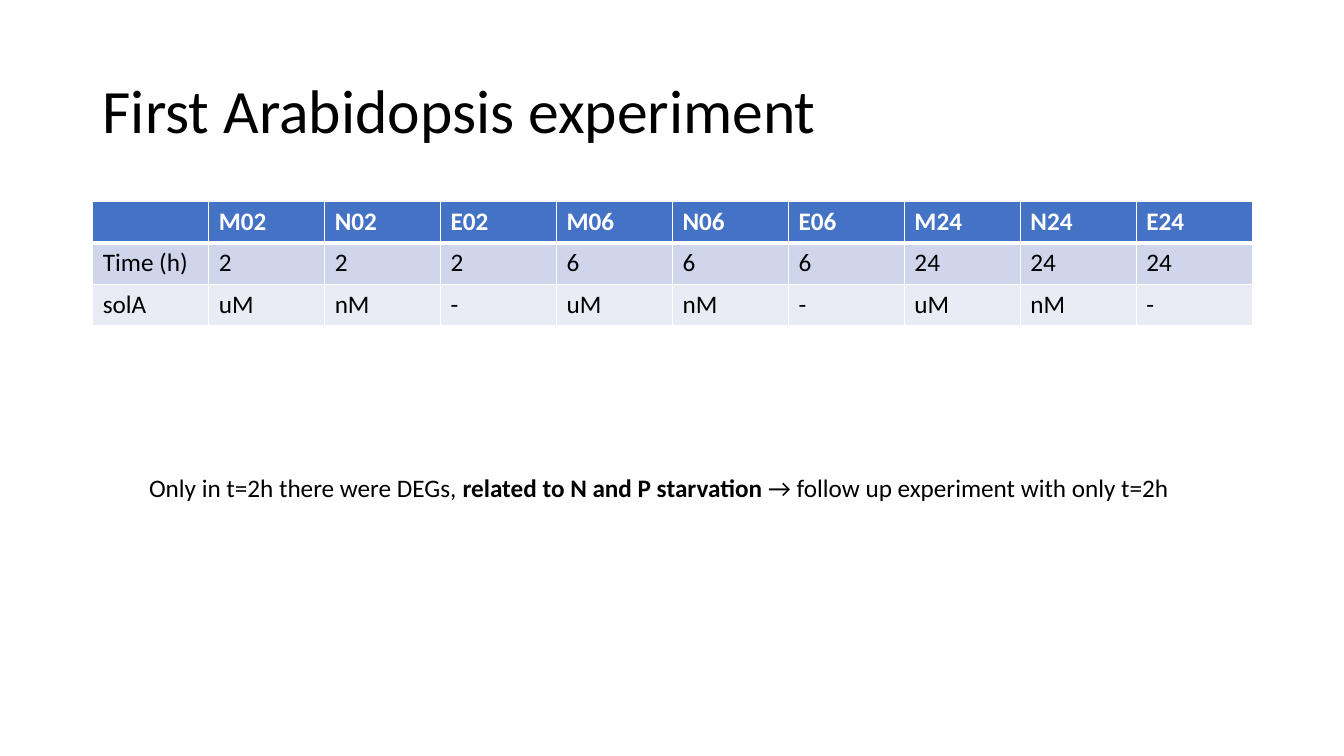
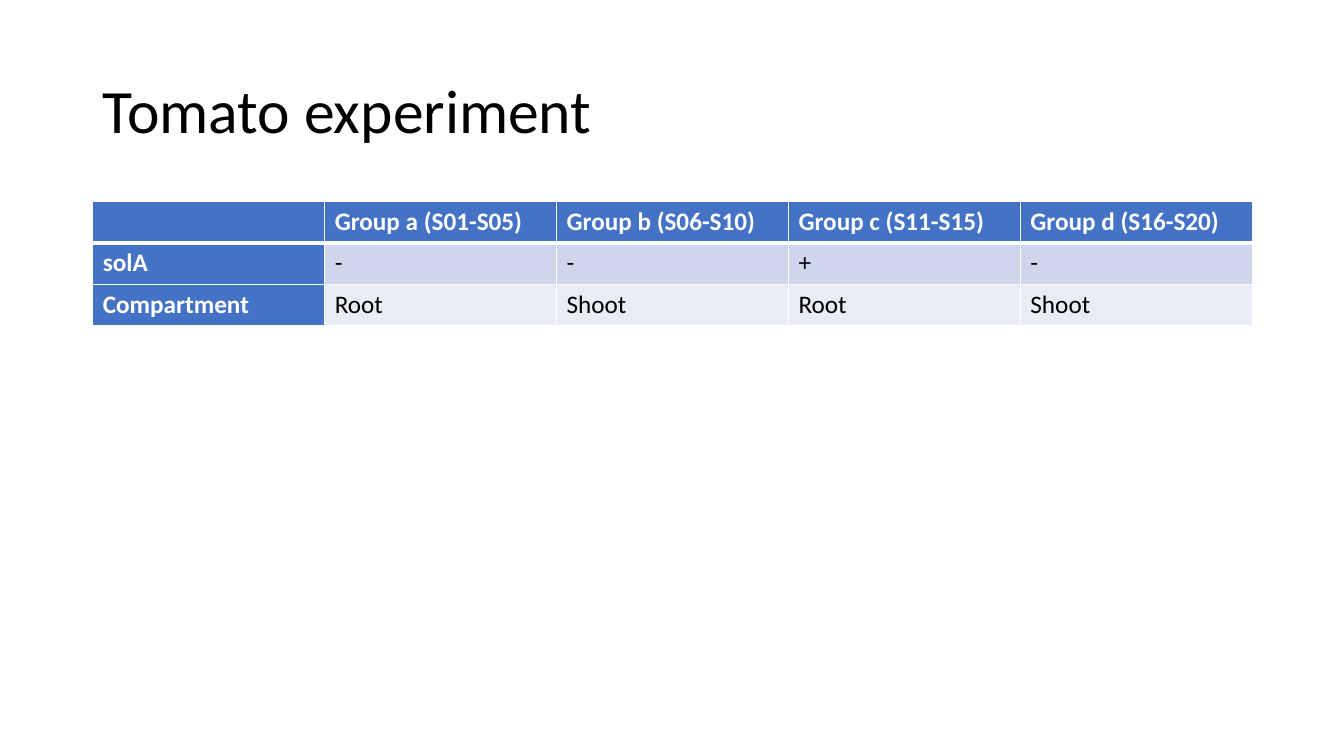
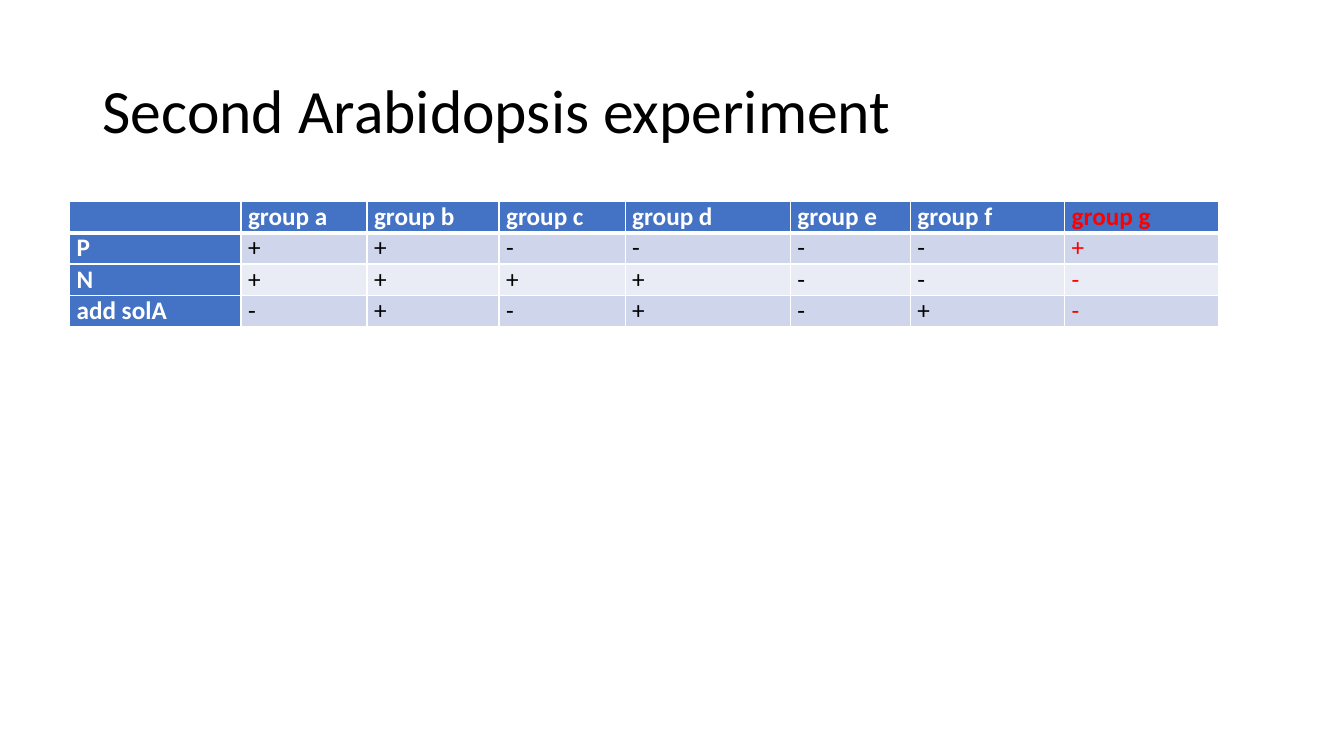
from dataclasses import dataclass

from lxml import etree
from pptx import Presentation
from pptx.dml.color import RGBColor
from pptx.enum.text import MSO_ANCHOR, MSO_AUTO_SIZE
from pptx.oxml.ns import qn
from pptx.util import Inches, Pt

MIDDLE = MSO_ANCHOR.MIDDLE
FIT_SHAPE = MSO_AUTO_SIZE.SHAPE_TO_FIT_TEXT
BLANK = 6


@dataclass(frozen=True)
class Theme:
    """Colours, font and type sizes shared by the slides."""
    font: str = "Calibri"
    text: str = "000000"
    white: str = "FFFFFF"
    header: str = "4472C4"
    bands: tuple = ("CFD5EA", "E9EBF5")
    accent: str = "FF0000"
    title_size: int = 44
    body_size: int = 18
    rule: int = 1
    header_rule: int = 3


THEME = Theme()
TITLE_BOX = (0.92, 0.4, 11.5, 1.45)


def style_run(r, size, color, bold=False):
    """Apply font, size, colour and weight to a run."""
    r.font.name = THEME.font
    r.font.size = Pt(size)
    r.font.bold = bold
    r.font.color.rgb = RGBColor.from_string(color)


def add_title(slide, text, box):
    """Place the slide title in the box, centred vertically."""
    sp = slide.shapes.add_textbox(*map(Inches, box))
    tf = sp.text_frame
    tf.word_wrap = True
    tf.vertical_anchor = MIDDLE
    tf.text = text
    p = tf.paragraphs[0]
    p.line_spacing = 0.9
    style_run(p.runs[0], THEME.title_size, THEME.text)


def add_note(slide, parts, box):
    """Place a one-line remark made of (text, bold) parts in the box."""
    sp = slide.shapes.add_textbox(*map(Inches, box))
    tf = sp.text_frame
    tf.word_wrap = False
    tf.auto_size = FIT_SHAPE
    for text, bold in parts:
        r = tf.paragraphs[0].add_run()
        r.text = text
        style_run(r, THEME.body_size, THEME.text, bold)


def set_borders(cell, top, bottom):
    """Draw white borders round a cell, with top and bottom widths in points."""
    tc_pr = cell._tc.get_or_add_tcPr()
    widths = {"a:lnL": THEME.rule, "a:lnR": THEME.rule, "a:lnT": top, "a:lnB": bottom}
    for tag, width in widths.items():
        ln = etree.SubElement(tc_pr, qn(tag), w=str(Pt(width)))
        fill = etree.SubElement(ln, qn("a:solidFill"))
        etree.SubElement(fill, qn("a:srgbClr"), val=THEME.white)


def set_compact(cell):
    """Give a cell narrow margins and the looser line spacing."""
    cell.margin_left = cell.margin_right = Inches(0.07)
    cell.margin_top = cell.margin_bottom = 0
    p = cell.text_frame.paragraphs[0]
    p.line_spacing = 1.07
    p.space_after = Pt(8)


def add_grid(slide, rows, left, top, col_widths, row_height,
             header_col=True, compact=False, accent_col=None):
    """Place a banded table with a header row and an optional header column."""
    frame = slide.shapes.add_table(
        len(rows), len(col_widths), Inches(left), Inches(top),
        Inches(sum(col_widths)), Inches(row_height * len(rows)))
    table = frame.table
    table.first_col = header_col
    for column, width in zip(table.columns, col_widths):
        column.width = Inches(width)
    for i, values in enumerate(rows):
        table.rows[i].height = Inches(row_height)
        for j, value in enumerate(values):
            cell = table.cell(i, j)
            is_header = i == 0 or (header_col and j == 0)
            set_borders(cell,
                        THEME.header_rule if i == 1 else THEME.rule,
                        THEME.header_rule if i == 0 else THEME.rule)
            cell.fill.solid()
            fill = THEME.header if is_header else THEME.bands[(i - 1) % 2]
            cell.fill.fore_color.rgb = RGBColor.from_string(fill)
            if compact:
                set_compact(cell)
            color = THEME.white if is_header else THEME.text
            if j == accent_col:
                color = THEME.accent
            cell.text_frame.text = value
            for r in cell.text_frame.paragraphs[0].runs:
                style_run(r, THEME.body_size, color, is_header)


def new_slide(prs, title):
    """Add a blank slide with its title."""
    slide = prs.slides.add_slide(prs.slide_layouts[BLANK])
    add_title(slide, title, TITLE_BOX)
    return slide


def first_arabidopsis(prs):
    """Build the time and concentration slide."""
    slide = new_slide(prs, "First Arabidopsis experiment")
    times, doses = (2, 6, 24), {"M": "uM", "N": "nM", "E": "-"}
    rows = [
        [""] + [f"{code}{t:02d}" for t in times for code in doses],
        ["Time (h)"] + [str(t) for t in times for _ in doses],
        ["solA"] + list(doses.values()) * len(times),
    ]
    add_grid(slide, rows, 0.92, 2, [1.15] * 10, 0.41, header_col=False)
    add_note(slide, [
        ("Only in t=2h there were DEGs, ", False),
        ("related to N and P starvation ", True),
        ("→ follow up experiment with only t=2h", False),
    ], (1.38, 4.64, 10.45, 0.4))


def tomato(prs):
    """Build the root and shoot slide."""
    slide = new_slide(prs, "Tomato experiment")
    rows = [
        ["", "Group a (S01-S05)", "Group b (S06-S10)",
         "Group c (S11-S15)", "Group d (S16-S20)"],
        ["solA", "-", "-", "+", "-"],
        ["Compartment", "Root", "Shoot", "Root", "Shoot"],
    ]
    add_grid(slide, rows, 0.92, 2, [2.3] * 5, 0.41)


def second_arabidopsis(prs):
    """Build the nutrient combination slide."""
    slide = new_slide(prs, "Second Arabidopsis experiment")
    rows = [
        [""] + [f"group {letter}" for letter in "abcdefg"],
        ["P", *"++----+"],
        ["N", *"++++---"],
        ["add solA", *"-+-+-+-"],
    ]
    widths = [1.7, 1.25, 1.31, 1.25, 1.64, 1.19, 1.53, 1.53]
    add_grid(slide, rows, 0.69, 2, widths, 0.31, compact=True, accent_col=7)


def main():
    """Build and save the presentation."""
    prs = Presentation()
    prs.slide_width, prs.slide_height = Inches(13.33), Inches(7.5)
    for build in (first_arabidopsis, tomato, second_arabidopsis):
        build(prs)
    prs.save("out.pptx")


main()
